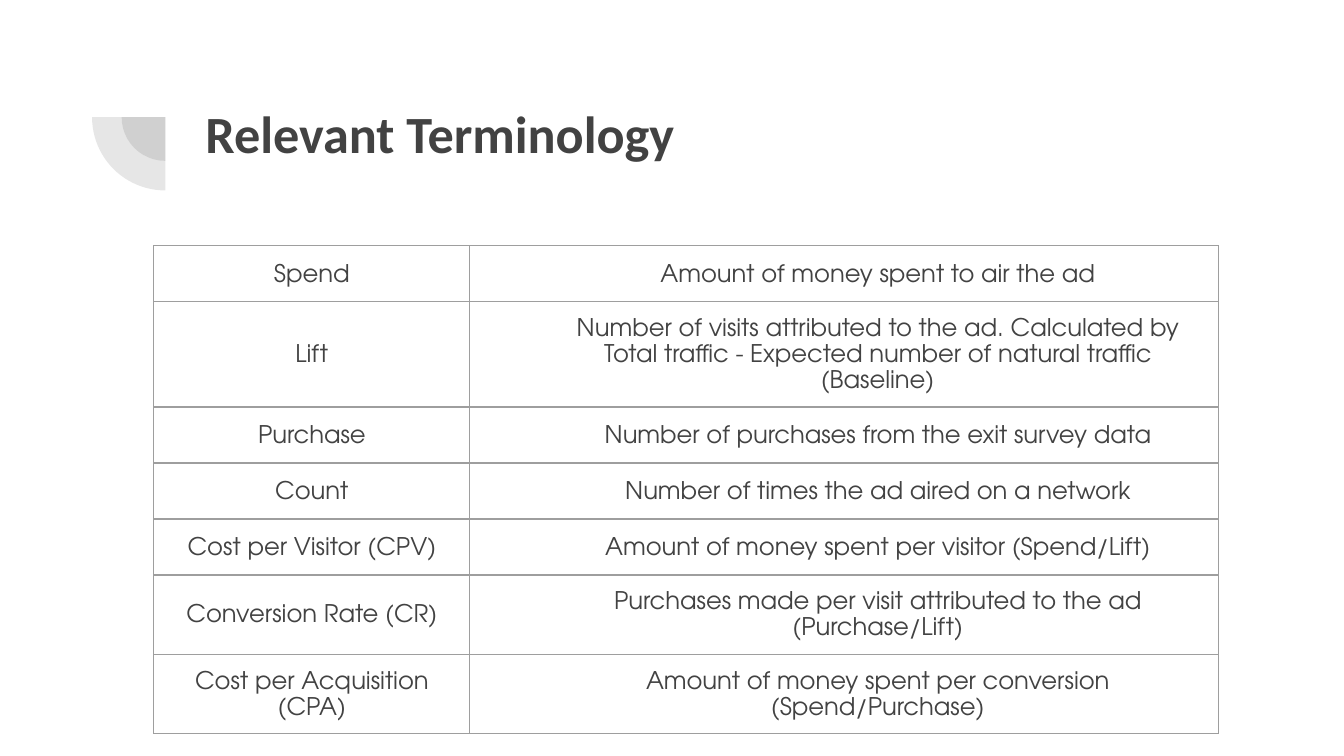
"""Build a slide with a two-column table of advertising terms."""
from dataclasses import dataclass

from lxml import etree
from pptx import Presentation
from pptx import util as u
from pptx.dml import color
from pptx.enum import shapes, text
from pptx.oxml import ns

WIDTH = u.Inches(10)
HEIGHT = WIDTH * 9 // 16
COLORS = {"ink": "424242", "border": "9E9E9E"}
FONTS = {"title": "Calibri", "body": "TeX Gyre Adventor"}
MARGIN = u.Inches(0.1)
COLUMNS = (23.5, 55.7)
ROW = 7.41
ARC_CENTER = (12.3, 15.5)
ARC_DIAMETERS = (6.5, 10.9)


@dataclass(frozen=True)
class Term:
    name: str
    meaning: str


TERMS = (
    Term("Spend", "Amount of money spent to air the ad"),
    Term("Lift", "Number of visits attributed to the ad. Calculated by Total traffic"
                 " - Expected number of natural traffic (Baseline)"),
    Term("Purchase", "Number of purchases from the exit survey data"),
    Term("Count", "Number of times the ad aired on a network"),
    Term("Cost per Visitor (CPV)", "Amount of money spent per visitor (Spend/Lift)"),
    Term("Conversion Rate (CR)",
         "Purchases made per visit attributed to the ad (Purchase/Lift)"),
    Term("Cost per Acquisition (CPA)",
         "Amount of money spent per conversion (Spend/Purchase)"),
)


def across(percent: float) -> int:
    """Return a share of the slide's width."""
    return round(WIDTH * percent / 100)


def down(percent: float) -> int:
    """Return a share of the slide's height."""
    return round(HEIGHT * percent / 100)


def rgb(name: str) -> color.RGBColor:
    """Look up a named colour."""
    return color.RGBColor.from_string(COLORS[name])


def style_run(r, font: str, size: float, bold: bool = False) -> None:
    """Set the font of a run."""
    r.font.name, r.font.size, r.font.bold = FONTS[font], u.Pt(size), bold
    r.font.color.rgb = rgb("ink")


def draw_arc(s, diameter: float) -> None:
    """Draw a translucent lower-left quarter disc."""
    size = across(diameter)
    left, top = across(ARC_CENTER[0]) - size // 2, down(ARC_CENTER[1]) - size // 2
    sp = s.shapes.add_shape(shapes.MSO_SHAPE.PIE, left, top, size, size)
    sp.adjustments[0], sp.adjustments[1] = 54, 108
    sp.shadow.inherit = False
    sp.line.fill.background()
    sp.fill.solid()
    sp.fill.fore_color.rgb = rgb("ink")
    fill = sp.fill._xPr.find(ns.qn("a:solidFill"))
    etree.SubElement(fill[0], ns.qn("a:alpha"), val="13000")


def draw_title(s, title: str) -> None:
    """Write the slide's heading."""
    sp = s.shapes.add_textbox(across(14.3), down(11.56), across(76.9), down(19.38))
    tf = sp.text_frame
    tf.word_wrap = True
    tf.margin_left = tf.margin_right = tf.margin_top = tf.margin_bottom = MARGIN
    tf.text = title
    style_run(tf.paragraphs[0].runs[0], "title", 28, True)


def add_borders(cell) -> None:
    """Outline all four sides of a cell."""
    props = cell._tc.get_or_add_tcPr()
    for side in ("lnL", "lnR", "lnT", "lnB"):
        line = etree.SubElement(props, ns.qn(f"a:{side}"), w=str(u.Pt(0.75)))
        fill = etree.SubElement(line, ns.qn("a:solidFill"))
        etree.SubElement(fill, ns.qn("a:srgbClr"), val=COLORS["border"])


def fill_cell(cell, content: str, indent: float) -> None:
    """Write centred text into a bordered cell."""
    add_borders(cell)
    cell.fill.background()
    cell.vertical_anchor = text.MSO_ANCHOR.MIDDLE
    cell.margin_left = cell.margin_right = MARGIN
    cell.margin_top = cell.margin_bottom = MARGIN
    cell.text_frame.text = content
    p = cell.text_frame.paragraphs[0]
    p.alignment = text.PP_ALIGN.CENTER
    p.line_spacing, p.space_after = u.Pt(14), u.Pt(12)
    props = p._p.get_or_add_pPr()
    props.set("marL", str(across(indent)))
    props.set("indent", "0")
    style_run(p.runs[0], "body", 13)


def draw_terms(s, terms: tuple[Term, ...]) -> None:
    """Lay out the terms and their meanings as a table."""
    frame = s.shapes.add_table(len(terms), len(COLUMNS), across(11.45), down(32.5),
                               across(sum(COLUMNS)), down(ROW * len(terms)))
    table = frame.table
    table.first_row = table.horz_banding = False
    for column, width in zip(table.columns, COLUMNS):
        column.width = across(width)
    for i, term in enumerate(terms):
        table.rows[i].height = down(ROW)
        fill_cell(table.cell(i, 0), term.name, 0)
        fill_cell(table.cell(i, 1), term.meaning, 5)


def main() -> None:
    """Build and save the presentation."""
    prs = Presentation()
    prs.slide_width, prs.slide_height = WIDTH, HEIGHT
    s = prs.slides.add_slide(prs.slide_layouts[6])
    for diameter in ARC_DIAMETERS:
        draw_arc(s, diameter)
    draw_title(s, "Relevant Terminology")
    draw_terms(s, TERMS)
    prs.save("out.pptx")


if __name__ == "__main__":
    main()
